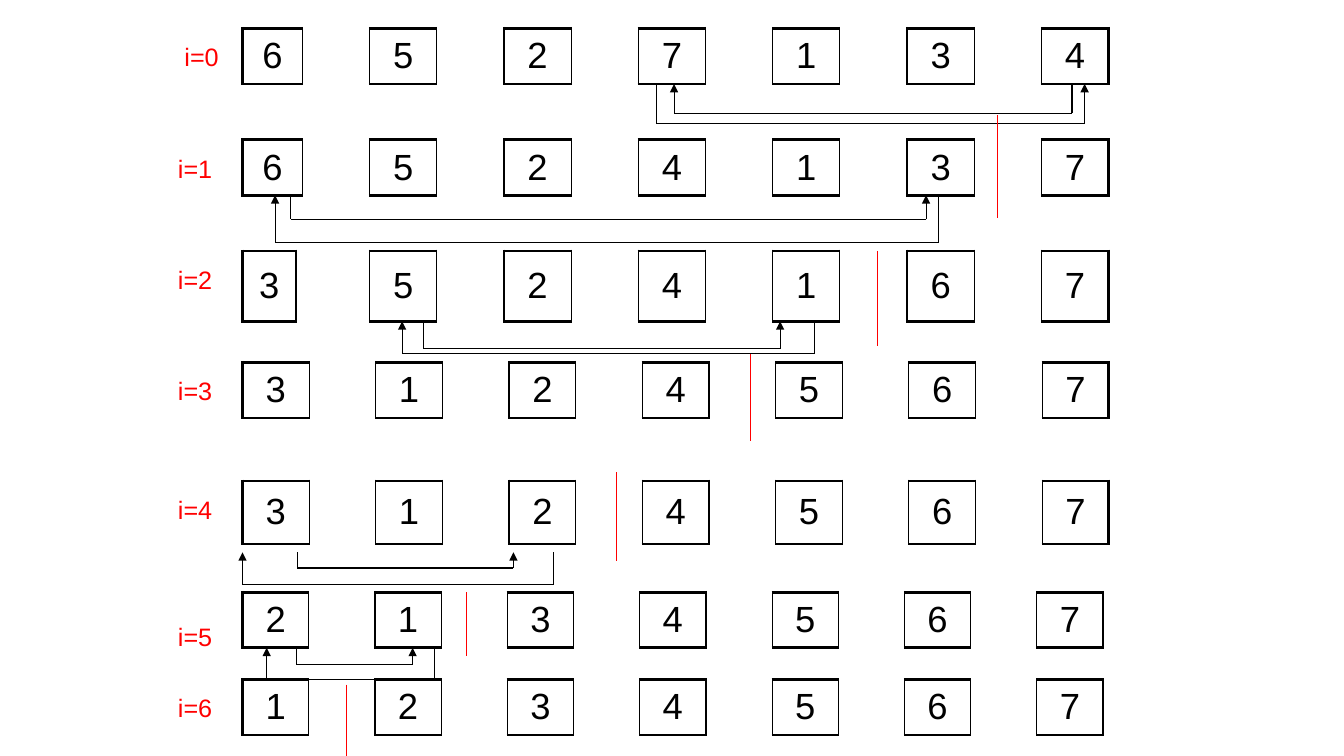
from dataclasses import dataclass

from lxml.etree import SubElement
from pptx import Presentation
from pptx.dml.color import RGBColor
from pptx.enum.shapes import MSO_CONNECTOR
from pptx.enum.text import MSO_ANCHOR, PP_ALIGN
from pptx.oxml.ns import qn
from pptx.util import Emu, Pt

PX = 9525
BLACK = "000000"
RED = "FF0000"
THICK = 2.25
THIN = 1
LEFT = 231
LABEL_GAP = 71
LABEL_WIDTH = 64
LABEL_HEIGHT = 38


@dataclass
class Step:
    numbers: str
    top: int
    height: int = 53
    width: int = 825
    first_columns: tuple = ()
    divider: tuple = ()
    swap: tuple = ()
    swap_gap: int = 0
    label_drop: int = 8
    label_align: PP_ALIGN = PP_ALIGN.LEFT


STEPS = [
    Step("6527134", 27, first_columns=(57,), label_align=PP_ALIGN.CENTER,
         swap=((790, 411, 28), (394, 802, 38))),
    Step("6524137", 133, first_columns=(57,), divider=(719, -23, 75),
         swap=((663, 31, 45), (46, 651, 23))),
    Step("3524167", 239, height=67, first_columns=(51, 70), divider=(605, 0, 91),
         swap=((172, 512, 26), (545, 152, 31))),
    Step("3124567", 345, divider=(484, -8, 75)),
    Step("3124567", 458, height=60, divider=(356, -8, 76), swap_gap=8,
         swap=((296, 0, 31), (52, 258, 15))),
    Step("2134567", 564, width=820, divider=(213, 0, 61), label_drop=23,
         swap=((183, 23, 30), (51, 162, 16))),
    Step("1234567", 647, width=820, divider=(99, 5, 73)),
]


def px(length):
    return Emu(round(length * PX))


def color(value):
    return RGBColor.from_string(value)


def add_run(paragraph, text, size, ink):
    run = paragraph.add_run()
    run.text = text
    run.font.name = "Arial"
    run.font.size = Pt(size)
    run.font.color.rgb = color(ink)


def add_line(slide, start, end, ink, arrow=False):
    line = slide.shapes.add_connector(
        MSO_CONNECTOR.STRAIGHT, *(px(value) for value in (*start, *end)))
    line.line.color.rgb = color(ink)
    line.line.width = Pt(0.75)
    if arrow:
        SubElement(line.line._get_or_add_ln(), qn("a:tailEnd"), type="triangle")
    SubElement(line._element.spPr, qn("a:effectLst"))


def add_border(cell, side, width):
    border = SubElement(cell._tc.get_or_add_tcPr(), qn(f"a:ln{side}"))
    if not width:
        SubElement(border, qn("a:noFill"))
        return
    border.set("w", str(Pt(width)))
    fill = SubElement(border, qn("a:solidFill"))
    SubElement(fill, qn("a:srgbClr"), val=BLACK)


def add_numbers(slide, left, step):
    count = 2 * len(step.numbers) - 1
    table = slide.shapes.add_table(
        1, count, px(left), px(step.top), px(step.width), px(step.height)).table
    table.first_row = False
    table.horz_banding = False
    shared = (step.width - sum(step.first_columns)) / (count - len(step.first_columns))
    for index in range(count):
        cell = table.cell(0, index)
        is_box = index % 2 == 0
        given = index < len(step.first_columns)
        table.columns[index].width = px(step.first_columns[index] if given else shared)
        edge = THICK if is_box else 0
        add_border(cell, "L", THICK if index == 0 else THIN)
        add_border(cell, "R", THICK if index == count - 1 else THIN)
        add_border(cell, "T", edge)
        add_border(cell, "B", edge)
        cell.fill.background()
        if is_box:
            cell.vertical_anchor = MSO_ANCHOR.MIDDLE
            paragraph = cell.text_frame.paragraphs[0]
            paragraph.alignment = PP_ALIGN.CENTER
            add_run(paragraph, step.numbers[index // 2], 26, BLACK)


def add_label(slide, left, top, text, align):
    label = slide.shapes.add_textbox(
        px(left), px(top), px(LABEL_WIDTH), px(LABEL_HEIGHT))
    label.text_frame.word_wrap = True
    paragraph = label.text_frame.paragraphs[0]
    paragraph.alignment = align
    add_run(paragraph, text, 18, RED)


def add_swap(slide, left, top, moves):
    for source, target, depth in moves:
        corners = [(left + source, top), (left + source, top + depth),
                   (left + target, top + depth), (left + target, top)]
        for index, (start, end) in enumerate(zip(corners, corners[1:])):
            add_line(slide, start, end, BLACK, arrow=index == 2)


def add_step(slide, left, number, step):
    add_numbers(slide, left, step)
    add_label(slide, left - LABEL_GAP, step.top + step.label_drop,
              f"i={number}", step.label_align)
    add_swap(slide, left, step.top + step.height + step.swap_gap, step.swap)
    if step.divider:
        x, start, end = step.divider
        add_line(slide, (left + x, step.top + start), (left + x, step.top + end), RED)


def main():
    presentation = Presentation()
    presentation.slide_width = px(1280)
    presentation.slide_height = px(720)
    slide = presentation.slides.add_slide(presentation.slide_layouts[6])
    for number, step in enumerate(STEPS):
        add_step(slide, LEFT, number, step)
    presentation.save("out.pptx")


if __name__ == "__main__":
    main()
